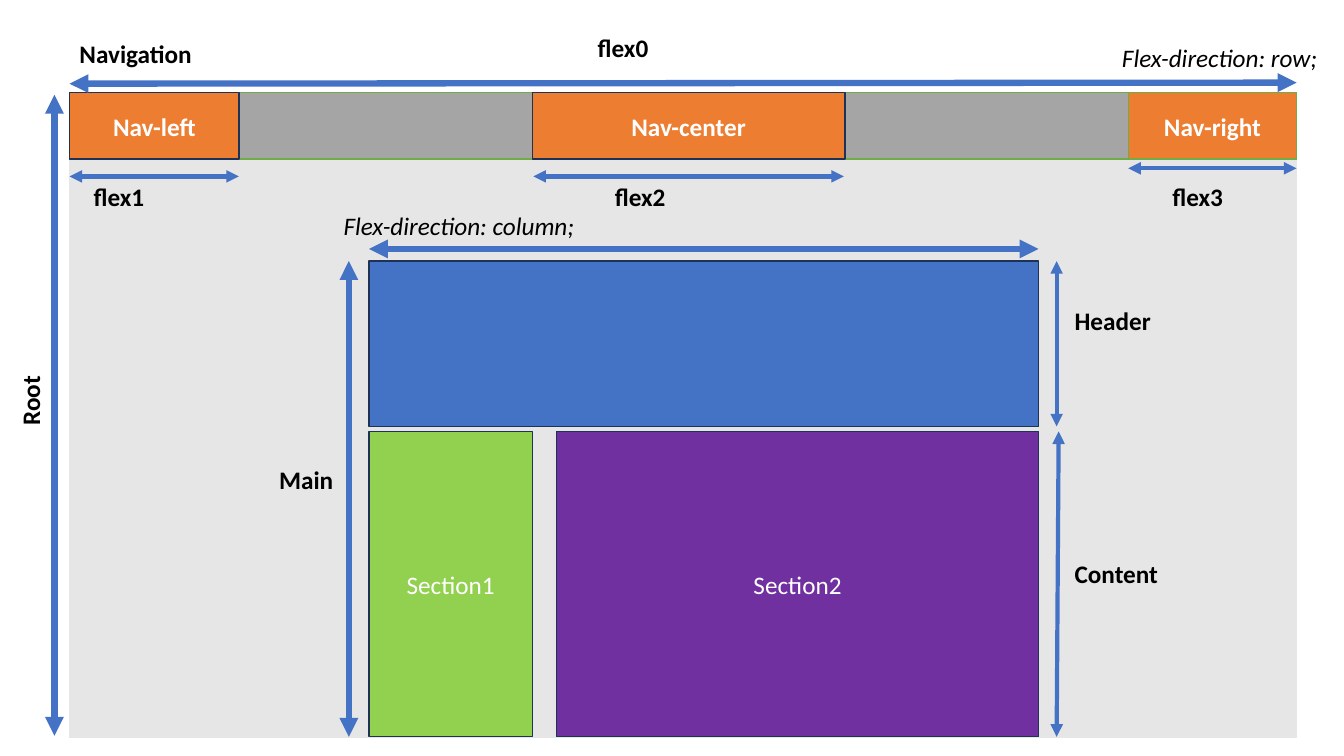
"""Build a slide that explains a page layout made of nested flex boxes."""
from lxml.etree import SubElement
from pptx import Presentation
from pptx.dml.color import RGBColor
from pptx.enum.shapes import MSO_CONNECTOR as CONNECTOR, MSO_SHAPE as SHAPE
from pptx.enum.text import MSO_ANCHOR as ANCHOR, MSO_AUTO_SIZE as AUTO_SIZE, PP_ALIGN as ALIGN
from pptx.oxml.ns import qn
from pptx.util import Pt

PX = 9144
SLIDE_WIDTH, SLIDE_HEIGHT = 1333, 750
FONT, TEXT_SIZE = "Calibri", 18
WHITE, BLACK, BLUE, NAVY = "FFFFFF", "000000", "4472C4", "1E3256"
PALE, GRAY, ORANGE = "E7E6E6", "A5A5A5", "ED7D31"
GREEN, LIME, PURPLE = "70AD47", "92D050", "7030A0"
THICK, THIN = 4.5, 3
LABEL_HEIGHT = 40

LEFT, RIGHT, TOP, BOTTOM = 69, 1286, 92, 731
NAV_BOTTOM = 158
NAV_LEFT_END, NAV_RIGHT_START = 237, 1119
CENTER_START, CENTER_END = 528, 838
MAIN_LEFT, MAIN_RIGHT = 366, 1030
HEADER_TOP, HEADER_BOTTOM, CONTENT_TOP = 259, 423, 428

# left, top, right, bottom, fill, line, text, bold
BOXES = [
    (LEFT, TOP, RIGHT, BOTTOM, PALE, PALE, "", False),
    (LEFT, TOP, RIGHT, NAV_BOTTOM, GRAY, GREEN, "", False),
    (NAV_RIGHT_START, TOP, RIGHT, NAV_BOTTOM, ORANGE, GREEN, "Nav-right", True),
    (CENTER_START, TOP, CENTER_END, NAV_BOTTOM, ORANGE, NAVY, "Nav-center", True),
    (LEFT, TOP, NAV_LEFT_END, NAV_BOTTOM, ORANGE, NAVY, "Nav-left", True),
    (MAIN_LEFT, HEADER_TOP, MAIN_RIGHT, HEADER_BOTTOM, BLUE, NAVY, "", False),
    (MAIN_LEFT, CONTENT_TOP, CENTER_START, BOTTOM, LIME, NAVY, "Section1", False),
    (552, CONTENT_TOP, MAIN_RIGHT, BOTTOM, PURPLE, NAVY, "Section2", False),
]
ARROWS = [
    (346, HEADER_TOP, 346, BOTTOM, THICK),
    (LEFT, 83, RIGHT, 82, THICK),
    (1048, HEADER_TOP, 1048, HEADER_BOTTOM, THIN),
    (1050, CONTENT_TOP, 1048, BOTTOM, THIN),
    (LEFT, 175, NAV_LEFT_END, 175, THIN),
    (NAV_RIGHT_START, 167, RIGHT, 167, THIN),
    (CENTER_START + 1, 175, CENTER_END - 1, 175, THIN),
    (MAIN_LEFT, 247, MAIN_RIGHT, 247, THICK),
    (54, 94, 54, 730, THICK),
]
# text, left, top, width, format
BOLD, ITALIC = {"bold": True}, {"italic": True}
LABELS = [
    ("Navigation", 69, 33, 133, BOLD),
    ("flex0", 583, 27, 71, BOLD),
    ("flex1", 83, 175, 71, BOLD),
    ("flex2", 600, 175, 71, BOLD),
    ("flex3", 1153, 175, 71, BOLD),
    ("Root", -5, 377, 70, {"bold": True, "rotation": 270}),
    ("Main", 267, 456, 74, BOLD),
    ("Header", 1056, 298, 96, BOLD),
    ("Content", 1056, 549, 103, BOLD),
    ("Flex-direction: column;", 331, 204, 252, ITALIC),
    ("Flex-direction: row;", 1103, 37, 223, ITALIC),
]


def color(value):
    return RGBColor.from_string(value)


def write(shape, text, fill=BLACK, bold=False, italic=False, align=ALIGN.LEFT):
    paragraph = shape.text_frame.paragraphs[0]
    paragraph.alignment = align
    run = paragraph.add_run()
    run.text = text
    font = run.font
    font.name, font.size = FONT, Pt(TEXT_SIZE)
    font.bold, font.italic = bold, italic
    font.color.rgb = color(fill)


def add_box(slide, left, top, right, bottom, fill, line, text, bold):
    frame = (left, top, right - left, bottom - top)
    shape = slide.shapes.add_shape(SHAPE.RECTANGLE, *(PX * value for value in frame))
    shape.shadow.inherit = False
    shape.fill.solid()
    shape.fill.fore_color.rgb = color(fill)
    shape.line.color.rgb = color(line)
    shape.line.width = Pt(1)
    if text:
        shape.text_frame.vertical_anchor = ANCHOR.MIDDLE
        write(shape, text, fill=WHITE, bold=bold, align=ALIGN.CENTER)


def add_arrow(slide, *ends, width):
    arrow = slide.shapes.add_connector(CONNECTOR.STRAIGHT, *(PX * value for value in ends))
    arrow.line.color.rgb = color(BLUE)
    arrow.line.width = Pt(width)
    properties = arrow.line._get_or_add_ln()
    for end in ("a:headEnd", "a:tailEnd"):
        SubElement(properties, qn(end), type="triangle")
    SubElement(arrow._element.spPr, qn("a:effectLst"))


def add_label(slide, text, left, top, width, rotation=0, **style):
    frame = (left, top, width, LABEL_HEIGHT)
    label = slide.shapes.add_textbox(*(PX * value for value in frame))
    label.rotation = rotation
    label.text_frame.word_wrap = False
    label.text_frame.auto_size = AUTO_SIZE.SHAPE_TO_FIT_TEXT
    write(label, text, **style)


def main():
    presentation = Presentation()
    presentation.slide_width = SLIDE_WIDTH * PX
    presentation.slide_height = SLIDE_HEIGHT * PX
    slide = presentation.slides.add_slide(presentation.slide_layouts[6])
    for box in BOXES:
        add_box(slide, *box)
    for *ends, width in ARROWS:
        add_arrow(slide, *ends, width=width)
    for text, left, top, width, style in LABELS:
        add_label(slide, text, left, top, width, **style)
    presentation.save("out.pptx")


if __name__ == "__main__":
    main()
